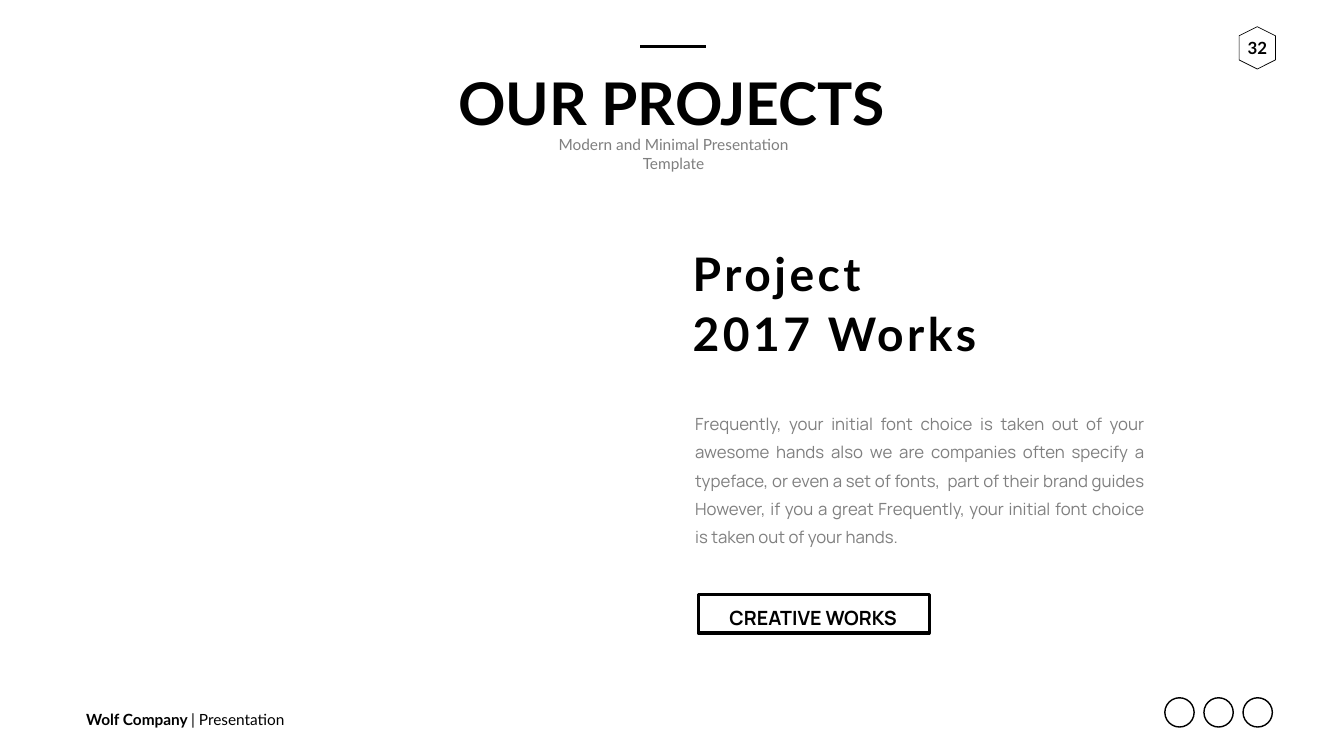
from dataclasses import dataclass

from lxml.etree import SubElement
from pptx import Presentation
from pptx.dml.color import RGBColor
from pptx.enum.shapes import MSO_CONNECTOR, MSO_SHAPE
from pptx.enum.text import MSO_ANCHOR as Anchor, MSO_AUTO_SIZE as AutoSize, PP_ALIGN as Align
from pptx.oxml.ns import qn
from pptx.shapes.autoshape import Shape
from pptx.slide import Slide
from pptx.util import Inches, Length, Pt

BLACK = RGBColor(0x00, 0x00, 0x00)
GRAY = RGBColor(0x7F, 0x7F, 0x7F)

SLIDE_WIDTH, SLIDE_HEIGHT = Inches(26.66), Inches(15)
GRID_COLUMNS = GRID_ROWS = 100


@dataclass(frozen=True)
class Area:
    """A rectangle in grid columns (left, width) and grid rows (top, height)."""
    left: float
    top: float
    width: float
    height: float


@dataclass(frozen=True)
class TextStyle:
    size: float
    font: str = "Lato"
    color: RGBColor = BLACK
    bold: bool = False
    align: Align = Align.LEFT
    anchor: Anchor = Anchor.TOP
    wrap: bool = False
    margins: tuple[float, float] = (0.1, 0.05)
    line_points: float | None = None
    letter_spacing: float = 0


@dataclass(frozen=True)
class TextBlock:
    area: Area
    text: str
    style: TextStyle


@dataclass(frozen=True)
class Outline:
    kind: MSO_SHAPE
    area: Area
    line_points: float
    rotation: float = 0


TITLE = TextBlock(Area(33.57, 8.53, 32.82, 10.07), "OUR PROJECTS",
                  TextStyle(84, bold=True, align=Align.CENTER))
SUBTITLE = TextBlock(Area(38.93, 18.8, 22.36, 3.13), "Modern and Minimal Presentation Template",
                     TextStyle(22, color=GRAY, align=Align.CENTER, anchor=Anchor.MIDDLE, wrap=True))
FOOTER = TextBlock(Area(6.04, 93.53, 15.64, 3.13), "Wolf Company ",
                   TextStyle(22, bold=True, anchor=Anchor.MIDDLE))
TEXT_BLOCKS = [
    TextBlock(Area(91.75, 4.33, 3.6, 4.07), "32",
              TextStyle(24, bold=True, align=Align.CENTER, margins=(0.2, 0.1))),
    TextBlock(Area(51.54, 31.87, 21.76, 15.87), "Project\n2017 Works",
              TextStyle(66, bold=True, anchor=Anchor.MIDDLE, margins=(0, 0),
                        line_points=85, letter_spacing=5)),
    TextBlock(Area(50.83, 52.87, 35.22, 20.33),
              "Frequently, your initial font choice is taken out of your awesome hands also we are "
              "companies often specify a typeface, or even a set of fonts,  part of their brand guides "
              "However, if you a great Frequently, your initial font choice is taken out of your hands.",
              TextStyle(24, "Manrope", GRAY, align=Align.JUSTIFY, wrap=True,
                        margins=(0.24, 0.12), line_points=40.4)),
    TextBlock(Area(53.6, 79.87, 13.8, 3.8), "CREATIVE WORKS",
              TextStyle(28, "Manrope", bold=True, align=Align.CENTER, anchor=Anchor.MIDDLE)),
]

SOCIAL_COUNT, SOCIAL_PITCH = 3, 2.91
OUTLINES = [
    Outline(MSO_SHAPE.HEXAGON, Area(91.97, 3.93, 3.15, 4.8), 1, rotation=90),
    Outline(MSO_SHAPE.RECTANGLE, Area(51.95, 78.67, 17.18, 5.07), 4.5),
    *(Outline(MSO_SHAPE.OVAL, Area(86.67 + index * SOCIAL_PITCH, 92.3, 2.18, 3.87), 2)
      for index in range(SOCIAL_COUNT)),
]


def columns(count: float) -> Length:
    return Length(round(SLIDE_WIDTH * count / GRID_COLUMNS))


def rows(count: float) -> Length:
    return Length(round(SLIDE_HEIGHT * count / GRID_ROWS))


def box(area: Area) -> tuple[Length, Length, Length, Length]:
    return columns(area.left), rows(area.top), columns(area.width), rows(area.height)


def write_text(shape: Shape, block: TextBlock) -> None:
    style = block.style
    shape.left, shape.top, shape.width, shape.height = box(block.area)
    frame = shape.text_frame
    frame.text = block.text
    frame.word_wrap = style.wrap
    frame.auto_size = AutoSize.SHAPE_TO_FIT_TEXT
    frame.vertical_anchor = style.anchor
    frame.margin_left = frame.margin_right = Inches(style.margins[0])
    frame.margin_top = frame.margin_bottom = Inches(style.margins[1])
    for paragraph in frame.paragraphs:
        paragraph.alignment = style.align
        paragraph.space_before = Pt(0)
        if style.line_points:
            paragraph.line_spacing = Pt(style.line_points)
        for run in paragraph.runs:
            run.font.name = style.font
            run.font.size = Pt(style.size)
            run.font.bold = style.bold
            run.font.color.rgb = style.color
            if style.letter_spacing:
                run.font._element.set("spc", str(round(style.letter_spacing * 100)))


def add_text(slide: Slide, block: TextBlock) -> Shape:
    shape = slide.shapes.add_textbox(*box(block.area))
    write_text(shape, block)
    return shape


def add_outline(slide: Slide, outline: Outline) -> None:
    shape = slide.shapes.add_shape(outline.kind, *box(outline.area))
    shape.rotation = outline.rotation
    shape.shadow.inherit = False
    shape.fill.background()
    shape.line.color.rgb = BLACK
    shape.line.width = Pt(outline.line_points)


def add_title_rule(slide: Slide) -> None:
    rule = slide.shapes.add_connector(MSO_CONNECTOR.STRAIGHT, columns(47.64), rows(6.13),
                                      columns(52.51), rows(6.13))
    rule.line.color.rgb = BLACK
    rule.line.width = Pt(4.5)
    SubElement(rule._element.spPr, qn("a:effectLst"))


def add_footer(slide: Slide) -> None:
    paragraph = add_text(slide, FOOTER).text_frame.paragraphs[0]
    run = paragraph.add_run()
    run.text = "| Presentation"
    run.font.name = FOOTER.style.font
    run.font.size = Pt(FOOTER.style.size)
    run.font.bold = False
    run.font.color.rgb = FOOTER.style.color


def main() -> None:
    presentation = Presentation()
    presentation.slide_width, presentation.slide_height = SLIDE_WIDTH, SLIDE_HEIGHT
    slide = presentation.slides.add_slide(presentation.slide_layouts[0])
    write_text(slide.shapes.title, TITLE)
    write_text(slide.placeholders[1], SUBTITLE)
    add_title_rule(slide)
    for outline in OUTLINES:
        add_outline(slide, outline)
    for block in TEXT_BLOCKS:
        add_text(slide, block)
    add_footer(slide)
    presentation.save("out.pptx")


if __name__ == "__main__":
    main()
